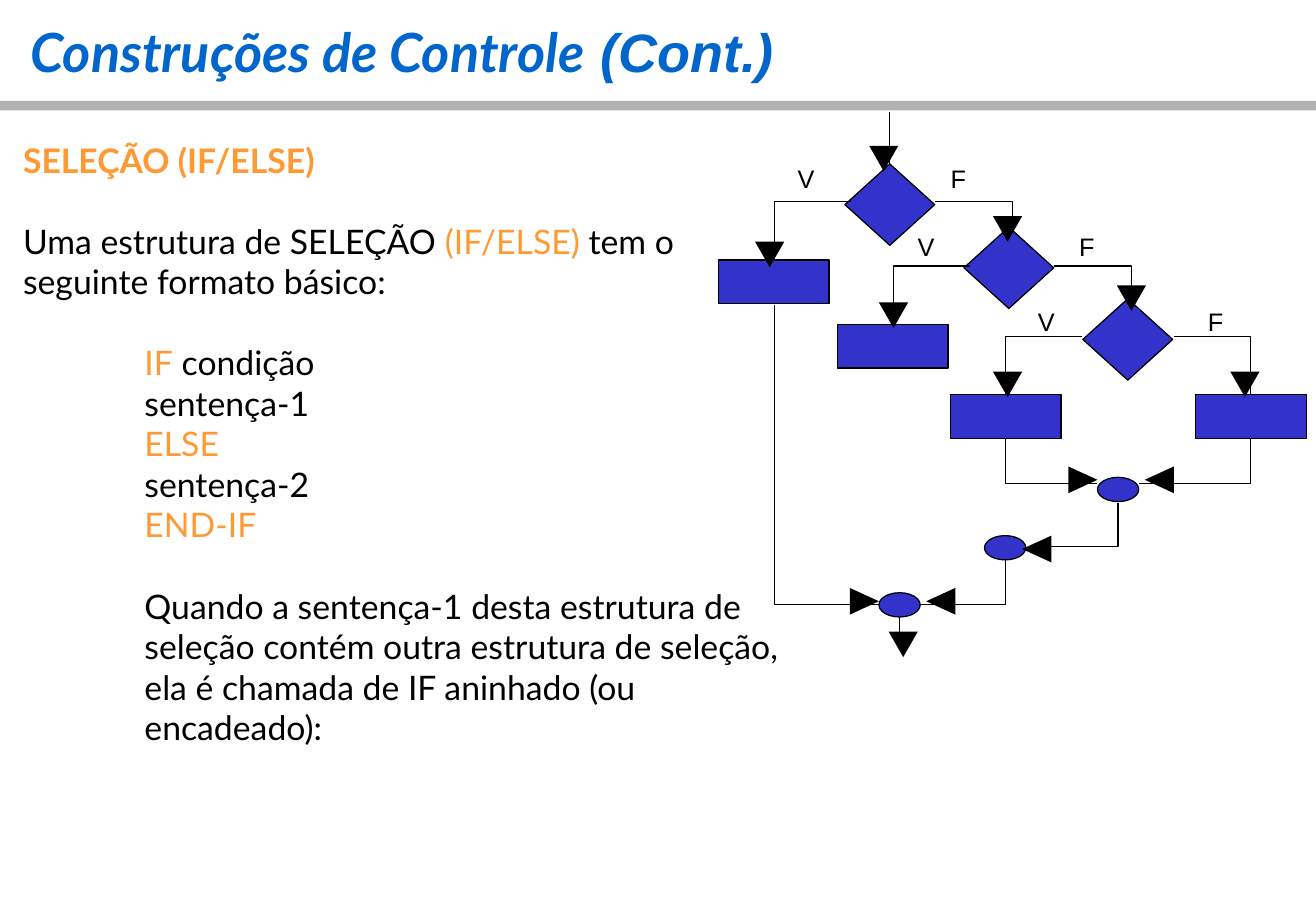
from dataclasses import dataclass
from typing import NamedTuple

from lxml import etree
from pptx import Presentation
from pptx import util as u
from pptx.dml.color import RGBColor
from pptx.enum import shapes, text
from pptx.oxml import ns

# Grid: square cells of a tenth of an inch
CELL = u.Inches(0.1)
COLUMNS, ROWS = 108.4, 75

BLUE = RGBColor(0x00, 0x66, 0xCC)
ORANGE = RGBColor(0xFF, 0x99, 0x33)
INDIGO = RGBColor(0x33, 0x33, 0xCC)
GRAY = RGBColor(0xB2, 0xB2, 0xB2)
BLACK = RGBColor(0x00, 0x00, 0x00)
LINE_WIDTH = u.Pt(0.75)
KIND = shapes.MSO_SHAPE


class Point(NamedTuple):
    column: float
    row: float


@dataclass
class Run:
    words: str
    color: RGBColor = BLACK
    size: int = 20
    name: str = "Lato"
    bold: bool = False
    italic: bool = False


@dataclass
class Line:
    runs: list[Run]
    indent: int = 0
    gap: int = 0


@dataclass
class NodeGroup:
    kind: KIND
    width: float
    height: float
    corners: list[Point]


def cells(*counts: float) -> list[int]:
    return [round(count * CELL) for count in counts]


def add_node(slide, kind, left, top, width, height, fill=INDIGO, outlined=True):
    shape = slide.shapes.add_shape(kind, *cells(left, top, width, height))
    paint(shape, fill, outlined)
    return shape


def paint(shape, fill: RGBColor | None, outlined: bool) -> None:
    shape.shadow.inherit = False
    if fill is None:
        shape.fill.background()
    else:
        shape.fill.solid()
        shape.fill.fore_color.rgb = fill
    if outlined:
        shape.line.color.rgb = BLACK
        shape.line.width = LINE_WIDTH
    else:
        shape.line.fill.background()


def add_outline(slide, points: list[Point], fill: RGBColor | None = None) -> None:
    closed = fill is not None
    builder = slide.shapes.build_freeform(*cells(*points[0]), scale=1.0)
    builder.add_line_segments([cells(*point) for point in points[1:]], close=closed)
    paint(builder.convert_to_shape(), fill, outlined=not closed)


def add_arrowhead(slide, tip: Point, across: int, down: int) -> None:
    length, half = (2.1, 1.2) if down else (2.4, 1.1)
    base = Point(tip.column - across * length, tip.row - down * length)
    sides = [Point(base.column + side * half * down, base.row + side * half * across)
             for side in (-1, 1)]
    add_outline(slide, [tip, *sides], BLACK)


def add_line(slide, start: Point, end: Point):
    connector = slide.shapes.add_connector(
        shapes.MSO_CONNECTOR.STRAIGHT, *cells(*start, *end))
    connector.line.color.rgb = BLACK
    connector.line.width = LINE_WIDTH
    etree.SubElement(connector._element.spPr, ns.qn("a:effectLst"))
    return connector


def add_text(slide, corner: Point, width: float, height: float,
             lines: list[Line], margin: float = 0.7) -> None:
    frame = slide.shapes.add_textbox(*cells(*corner, width, height)).text_frame
    inset = cells(margin)[0]
    frame_format = {"word_wrap": True, "vertical_anchor": text.MSO_ANCHOR.TOP,
                    "margin_left": inset, "margin_right": inset,
                    "margin_top": inset, "margin_bottom": inset}
    for key, value in frame_format.items():
        setattr(frame, key, value)
    for index, line in enumerate(lines):
        paragraph = frame.add_paragraph() if index else frame.paragraphs[0]
        paragraph.alignment = text.PP_ALIGN.LEFT
        if line.indent:
            paragraph._p.get_or_add_pPr().set("marL", str(cells(line.indent)[0]))
        if line.gap:
            paragraph.space_before = u.Pt(line.gap)
        for part in line.runs:
            run = paragraph.add_run()
            run.text = part.words
            font_format = {"size": u.Pt(part.size), "name": part.name,
                           "bold": part.bold, "italic": part.italic}
            for key, value in font_format.items():
                setattr(run.font, key, value)
            run.font.color.rgb = part.color


TITLE = [Line([Run("Construções de Controle", BLUE, 32, "Lato", True, True),
               Run(" (Cont.)", BLUE, 32, "Arial", True, True)])]
BODY = [
    Line([Run("SELEÇÃO (IF/ELSE)", ORANGE, bold=True)]),
    Line([Run("Uma estrutura de SELEÇÃO "), Run("(IF/ELSE)", ORANGE),
          Run(" tem o seguinte formato básico:")], gap=24),
    Line([Run("IF", ORANGE), Run(" condição")], indent=10, gap=24),
    Line([Run("sentença-1")], indent=10),
    Line([Run("ELSE", ORANGE)], indent=10),
    Line([Run("sentença-2")], indent=10),
    Line([Run("END-IF", ORANGE)], indent=10),
    Line([Run("Quando a sentença-1 desta estrutura de seleção contém outra estrutura "
              "de seleção, ela é chamada de IF aninhado (ou encadeado):")],
         indent=10, gap=24),
]
DECISIONS = NodeGroup(KIND.DIAMOND, 7.4, 6.7,
                      [Point(69.6, 13.5), Point(79.4, 18.7), Point(89.2, 24.6)])
SENTENCES = NodeGroup(KIND.RECTANGLE, 9.1, 3.6, [
    Point(59.2, 21.4), Point(69, 26.7), Point(78.3, 32.5), Point(98.5, 32.5)])
JOINS = NodeGroup(KIND.OVAL, 3.4, 2,
                  [Point(90.4, 39.3), Point(81.1, 44.1), Point(72.4, 48.8)])

# Elbow paths: start, corner, end
BRANCHES = [
    [Point(77, 16.6), Point(83.4, 16.6), Point(83.4, 19.2)],
    [Point(86.8, 21.9), Point(93.2, 21.9), Point(93.2, 24.5)],
    [Point(96.7, 27.7), Point(103, 27.7), Point(103, 32.4)],
    [Point(82.8, 32.4), Point(82.8, 27.7), Point(89.1, 27.7)],
    [Point(73.6, 26.6), Point(73.6, 21.9), Point(79.9, 21.9)],
    [Point(63.8, 21.4), Point(63.8, 16.6), Point(70.1, 16.6)],
    [Point(63.8, 25.1), Point(63.8, 49.8), Point(72.4, 49.8)],
    [Point(75.9, 49.8), Point(82.8, 49.8), Point(82.8, 46.1)],
    [Point(85.1, 45), Point(92.1, 45), Point(92.1, 41.4)],
    [Point(90.4, 39.8), Point(82.8, 39.8), Point(82.8, 36.1)],
    [Point(93.8, 39.8), Point(103, 39.8), Point(103, 36.1)],
]
# Arrow tips by direction (across, down)
ARROW_TIPS = {
    (0, 1): [Point(72.8, 14.1), Point(63.4, 22), Point(73.6, 27), Point(83, 19.9),
             Point(93.2, 25.6), Point(83, 32.7), Point(102.55, 32.7), Point(74.4, 54.1)],
    (-1, 0): [Point(94.3, 39.5), Point(84.2, 45.2), Point(76.3, 49.5)],
    (1, 0): [Point(72.4, 49.5), Point(90.4, 39.5)],
}
LABELS = {"F": [Point(78.3, 13.4), Point(88.9, 19), Point(99.5, 25.2)],
          "V": [Point(65.7, 13.4), Point(75.6, 19), Point(85.5, 25.2)]}


def main() -> None:
    presentation = Presentation()
    presentation.slide_width, presentation.slide_height = cells(COLUMNS, ROWS)
    slide = presentation.slides.add_slide(presentation.slide_layouts[6])

    # Heading and explanation
    add_node(slide, KIND.RECTANGLE, 0, 8.3, COLUMNS, 0.8, GRAY, outlined=False)
    add_text(slide, Point(1.8, 0.8), 68.4, 6.7, TITLE)
    add_text(slide, Point(1.2, 10.8), 64.7, 48.1, BODY)

    # Flowchart nodes
    decisions, *_ = [
        [add_node(slide, group.kind, *corner, group.width, group.height)
         for corner in group.corners]
        for group in (DECISIONS, SENTENCES, JOINS)]

    # Flow lines and arrowheads
    for branch in BRANCHES:
        add_outline(slide, branch)
    entry = add_line(slide, Point(73.3, 9.2), Point(73.3, 13.5))
    entry.end_connect(decisions[0], 0)
    add_line(slide, Point(74.1, 50.8), Point(74.1, 53))
    for (across, down), tips in ARROW_TIPS.items():
        for tip in tips:
            add_arrowhead(slide, tip, across, down)

    # Branch labels
    for label, corners in LABELS.items():
        for corner in corners:
            add_text(slide, corner, 1.4, 2.5, [Line([Run(label, size=15, name="Arial")])], 0)

    presentation.save("out.pptx")


if __name__ == "__main__":
    main()
